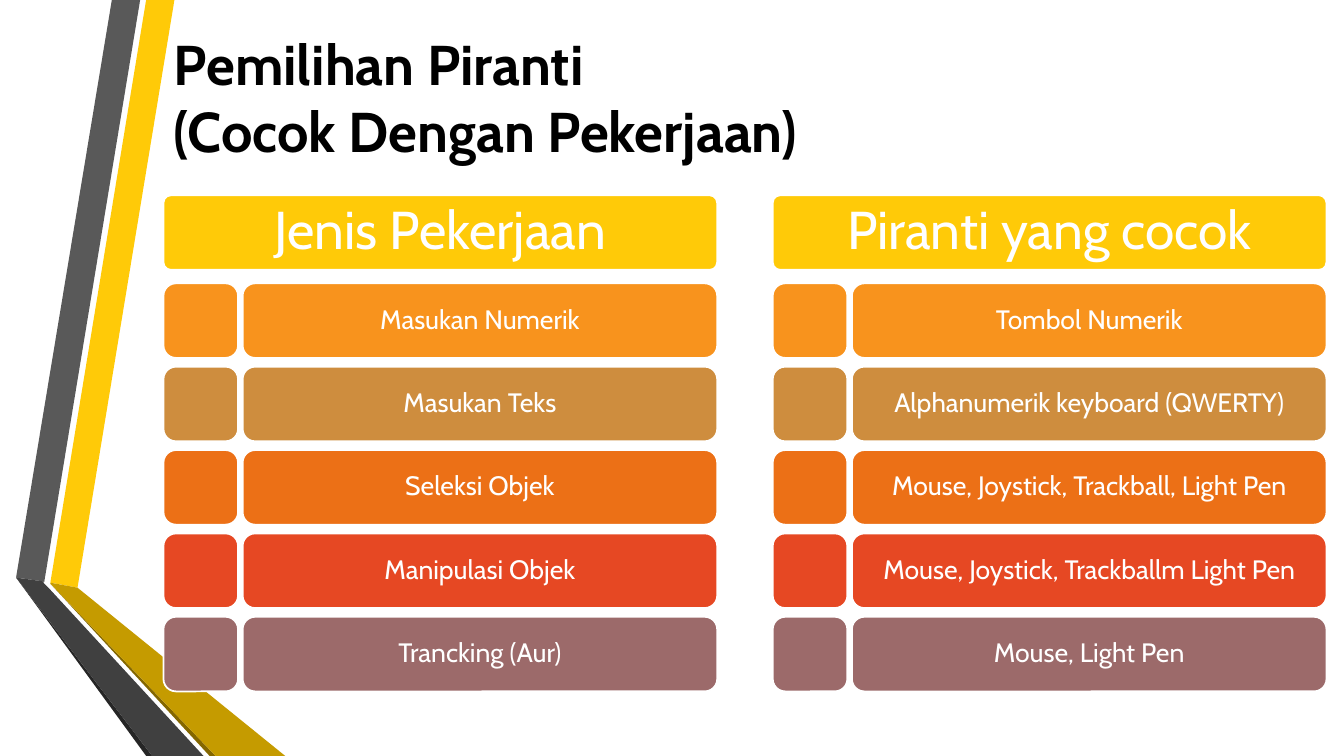
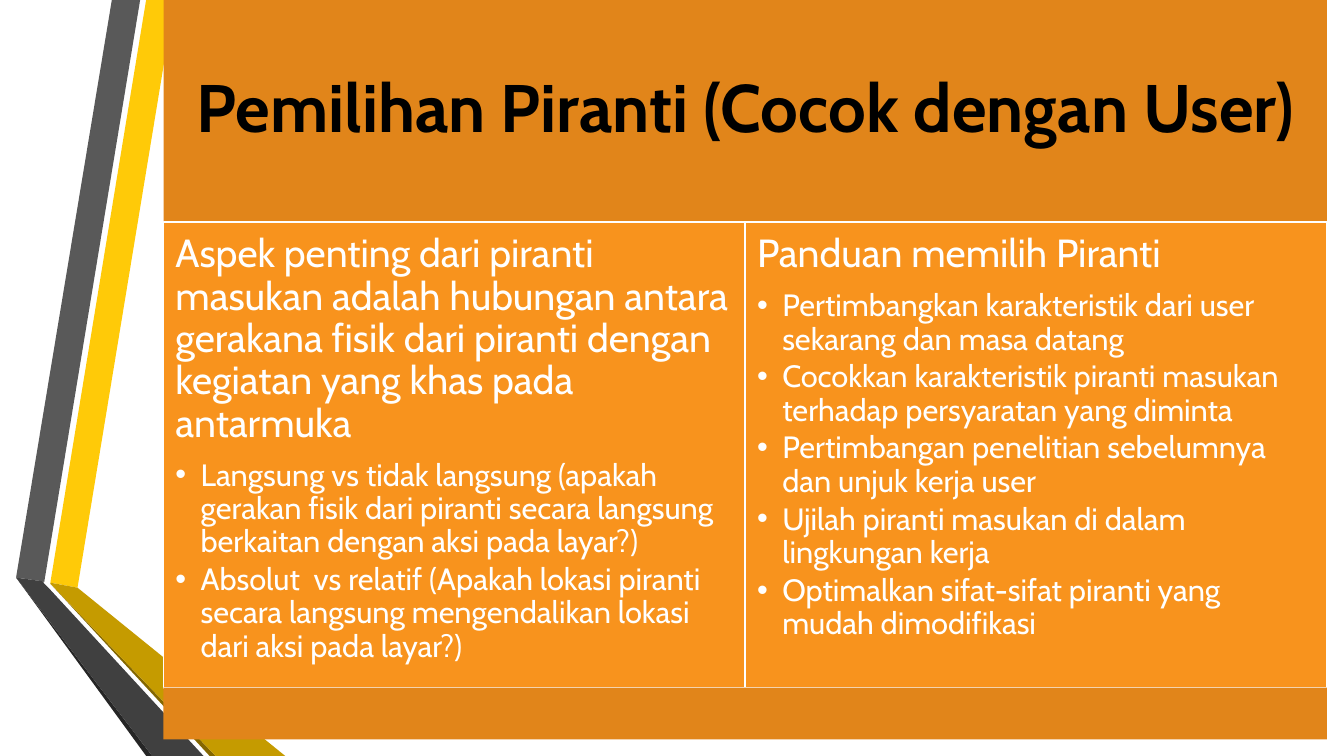
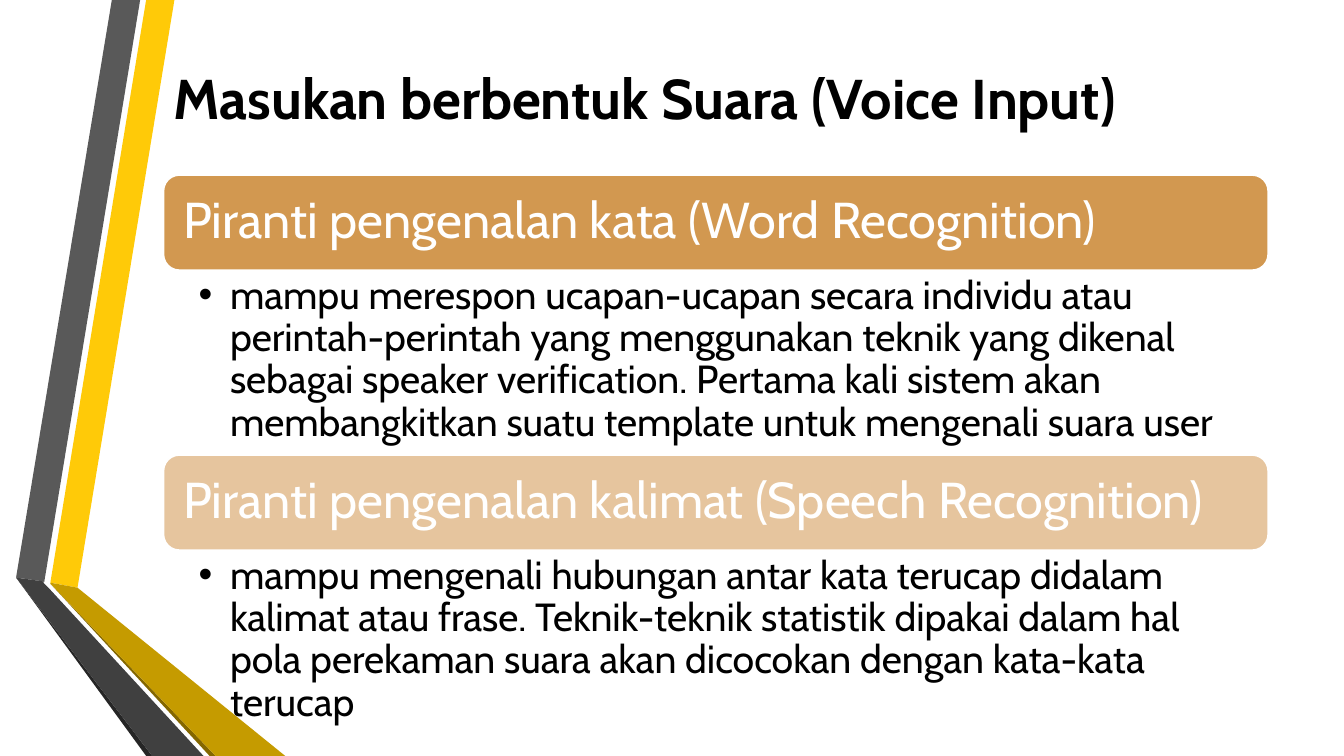
from lxml import etree
from pptx import Presentation
from pptx.dml.color import RGBColor
from pptx.enum.shapes import MSO_SHAPE
from pptx.enum.text import MSO_ANCHOR, MSO_AUTO_SIZE, PP_ALIGN
from pptx.oxml.ns import qn
from pptx.util import Pt

RECT, ROUND = MSO_SHAPE.RECTANGLE, MSO_SHAPE.ROUNDED_RECTANGLE
TOP, MIDDLE = MSO_ANCHOR.TOP, MSO_ANCHOR.MIDDLE
LEFT, CENTER = PP_ALIGN.LEFT, PP_ALIGN.CENTER
NO_FIT = MSO_AUTO_SIZE.NONE

FONT = "Cabin"
WHITE = RGBColor(0xFF, 0xFF, 0xFF)
BLACK = RGBColor(0x00, 0x00, 0x00)
YELLOW = RGBColor(0xFF, 0xCA, 0x08)
GOLD = RGBColor(0xC5, 0x9B, 0x00)
DARK_GOLD = RGBColor(0x84, 0x67, 0x00)
GREY = RGBColor(0x59, 0x59, 0x59)
DARK_GREY = RGBColor(0x40, 0x40, 0x40)
CHARCOAL = RGBColor(0x26, 0x26, 0x26)
ORANGE = RGBColor(0xF8, 0x93, 0x1D)
DEEP_ORANGE = RGBColor(0xE1, 0x85, 0x1A)
TAN = RGBColor(0xCE, 0x8D, 0x3E)
PUMPKIN = RGBColor(0xEC, 0x70, 0x16)
RED = RGBColor(0xE6, 0x48, 0x23)
MAUVE = RGBColor(0x9C, 0x6A, 0x6A)

X0 = 116.8          # left edge of all content
CONTENT_W = 789.1   # width of titles and panels


def write(sp, paras, insets, anchor=MIDDLE, align=LEFT, color=WHITE, bold=False):
    """Fill a shape with paragraphs given as (text, size, space after, bullet indent)."""
    tf = sp.text_frame
    left, top, right, bottom = (Pt(v) for v in insets)
    frame = {"word_wrap": True, "auto_size": NO_FIT, "vertical_anchor": anchor,
             "margin_left": left, "margin_top": top,
             "margin_right": right, "margin_bottom": bottom}
    for name, value in frame.items():
        setattr(tf, name, value)
    for i, (text, size, after, indent) in enumerate(paras):
        p = tf.add_paragraph() if i else tf.paragraphs[0]
        pPr = p._p.get_or_add_pPr()
        pPr.set("marL", str(Pt(indent)))
        pPr.set("indent", str(-Pt(indent)))
        if indent:
            etree.SubElement(pPr, qn("a:buChar")).set("char", "•")
        else:
            etree.SubElement(pPr, qn("a:buNone"))
        layout = {"alignment": align, "line_spacing": 0.9,
                  "space_before": Pt(0), "space_after": Pt(after)}
        for name, value in layout.items():
            setattr(p, name, value)
        r = p.add_run()
        r.text = text
        for name, value in {"name": FONT, "size": Pt(size), "bold": bold}.items():
            setattr(r.font, name, value)
        r.font.color.rgb = color


def add_box(s, kind, x, y, w, h, fill, outlined=True):
    sp = s.shapes.add_shape(kind, Pt(x), Pt(y), Pt(w), Pt(h))
    sp.shadow.inherit = False
    sp.fill.solid()
    sp.fill.fore_color.rgb = fill
    if outlined:
        sp.line.color.rgb = WHITE
        sp.line.width = Pt(1.25)
    else:
        sp.line.fill.background()
    return sp


prs = Presentation()
prs.slide_width, prs.slide_height = Pt(960), Pt(540)
master = prs.slide_master
title_only, two_content = prs.slide_layouts[5], prs.slide_layouts[3]

# Shared title place and style
title = master.placeholders[0]
title.left, title.top, title.width, title.height = Pt(X0), Pt(0), Pt(CONTENT_W), Pt(138.2)
level = master.element.find(".//" + qn("p:titleStyle") + "/" + qn("a:lvl1pPr"))
level.set("algn", "l")
font = level.find(qn("a:defRPr"))
font.set("sz", "4000")
font.set("b", "1")
font.find(qn("a:latin")).set("typeface", FONT)

# Slide 1: jobs and matching devices
s = prs.slides.add_slide(title_only)

# Folded ribbons, moved to the master so that every slide shows them
RIBBONS = [
    (YELLOW, [(36, 416.2), (55.4, 419.8), (124.6, 0), (104.4, 0)]),
    (GREY, [(100.1, 0), (79.9, 0), (11.5, 412.6), (31.7, 415.4)]),
    (CHARCOAL, [(11.5, 412.6), (104.4, 540), (108.7, 540)]),
    (DARK_GOLD, [(36, 416.9), (149.8, 540), (154.1, 540)]),
    (GOLD, [(36, 416.9), (154.1, 540), (203.8, 540), (55.4, 419.8), (36, 416.2)]),
    (DARK_GREY, [(145.4, 540), (34.6, 419.8), (31, 416.2), (31.7, 415.4),
                 (11.5, 412.6), (108.7, 540)]),
]
for i, (color, points) in enumerate(RIBBONS):
    corners = [(Pt(x), Pt(y)) for x, y in points]
    builder = s.shapes.build_freeform(*corners[0])
    builder.add_line_segments(corners[1:], close=True)
    sp = builder.convert_to_shape()
    sp.shadow.inherit = False
    sp.fill.solid()
    sp.fill.fore_color.rgb = color
    sp.line.fill.background()
    sp.element.find(".//" + qn("p:cNvPr")).set("id", str(20 + i))
    master.shapes.element.append(sp.element)

s.shapes.title.text_frame.text = "Pemilihan Piranti\v(Cocok Dengan Pekerjaan)"

ROW_COLORS = [ORANGE, TAN, PUMPKIN, RED, MAUVE]
COLUMNS = [
    ("Jenis Pekerjaan",
     ["Masukan Numerik", "Masukan Teks", "Seleksi Objek", "Manipulasi Objek",
      "Trancking (Aur)"]),
    ("Piranti yang cocok",
     ["Tombol Numerik", "Alphanumerik keyboard (QWERTY)",
      "Mouse, Joystick, Trackball, Light Pen",
      "Mouse, Joystick, Trackballm Light Pen", "Mouse, Light Pen"]),
]
CELL, COLUMN_W, LABEL_DX = 53.3, 395.5, 56.5
for c, (heading, labels) in enumerate(COLUMNS):
    x = X0 + c * 435.2
    sp = add_box(s, ROUND, x, 139.5, COLUMN_W, CELL, YELLOW)
    sp.adjustments[0] = 0.1
    write(sp, [(heading, 38, 0, 0)], (6, 4, 6, 4), align=CENTER)
    for r, (label, color) in enumerate(zip(labels, ROW_COLORS)):
        y = 202.4 + r * 59.55
        add_box(s, ROUND, x, y, CELL, CELL, color)
        sp = add_box(s, ROUND, x + LABEL_DX, y, COLUMN_W - LABEL_DX, CELL, color)
        write(sp, [(label, 19, 0, 0)], (10.5,) * 4, align=CENTER)

# Slide 2: title band, two list panels, bottom band
s = prs.slides.add_slide(two_content)
BAND_H, PANEL_W, PANEL_H = 158.5, 415.5, 332.7

sp = s.shapes.title
sp.left, sp.top, sp.width, sp.height = Pt(X0), Pt(0), Pt(2 * PANEL_W), Pt(BAND_H)
sp.fill.solid()
sp.fill.fore_color.rgb = DEEP_ORANGE
write(sp, [("Pemilihan Piranti (Cocok dengan User)", 48, 0, 0)], (14.4,) * 4,
      align=CENTER, color=BLACK, bold=True)

PANELS = [
    ("Aspek penting dari piranti masukan adalah hubungan antara gerakana fisik dari "
     "piranti dengan kegiatan yang khas pada antarmuka",
     ["Langsung vs tidak langsung (apakah gerakan fisik dari piranti secara langsung "
      "berkaitan dengan aksi pada layar?)",
      "Absolut  vs relatif (Apakah lokasi piranti secara langsung mengendalikan lokasi "
      "dari aksi pada layar?)"]),
    ("Panduan memilih Piranti",
     ["Pertimbangkan karakteristik dari user sekarang dan masa datang",
      "Cocokkan karakteristik piranti masukan terhadap persyaratan yang diminta",
      "Pertimbangan penelitian sebelumnya dan unjuk kerja user",
      "Ujilah piranti masukan di dalam lingkungan kerja",
      "Optimalkan sifat-sifat piranti yang mudah dimodifikasi"]),
]
for i, (lead, points) in enumerate(PANELS):
    sp = s.placeholders[i + 1]
    sp.left, sp.top = Pt(X0 + i * PANEL_W), Pt(BAND_H)
    sp.width, sp.height = Pt(PANEL_W), Pt(PANEL_H)
    sp.fill.solid()
    sp.fill.fore_color.rgb = ORANGE
    sp.line.color.rgb = WHITE
    sp.line.width = Pt(1.25)
    write(sp, [(lead, 28, 10, 0)] + [(text, 22, 3.3, 18) for text in points],
          (8.5,) * 4, anchor=TOP)

add_box(s, RECT, X0, BAND_H + PANEL_H, 2 * PANEL_W, 37, DEEP_ORANGE, outlined=False)

# Slide 3: two headed sections
s = prs.slides.add_slide(two_content)
s.shapes.title.text_frame.text = "Masukan berbentuk Suara (Voice Input)"

SECTIONS = [
    ("Piranti pengenalan kata (Word Recognition)", 90,
     "mampu merespon ucapan-ucapan secara individu atau perintah-perintah yang "
     "menggunakan teknik yang dikenal sebagai speaker verification. Pertama kali sistem "
     "akan membangkitkan suatu template untuk mengenali suara user"),
    ("Piranti pengenalan kalimat (Speech Recognition)", 50,
     "mampu mengenali hubungan antar kata terucap didalam kalimat atau frase. "
     "Teknik-teknik statistik dipakai dalam hal pola perekaman suara akan dicocokan "
     "dengan kata-kata terucap"),
]
HEADING_H = 68
for i, (heading, opacity, text) in enumerate(SECTIONS):
    y = 125 + i * 200
    sp = add_box(s, ROUND, X0, y, CONTENT_W, HEADING_H, TAN)
    tint = sp.element.spPr.find(qn("a:solidFill") + "/" + qn("a:srgbClr"))
    etree.SubElement(tint, qn("a:alpha")).set("val", str(opacity * 1000))
    write(sp, [(heading, 36, 0, 0)], (10.8,) * 4)
    sp = s.placeholders[i + 1]
    sp.left, sp.top = Pt(X0), Pt(y + HEADING_H)
    sp.width, sp.height = Pt(CONTENT_W), Pt(132)
    write(sp, [(text, 28, 0, 22.5)], (25, 3.6, 20, 3.6), anchor=TOP, color=BLACK)

prs.save("out.pptx")
